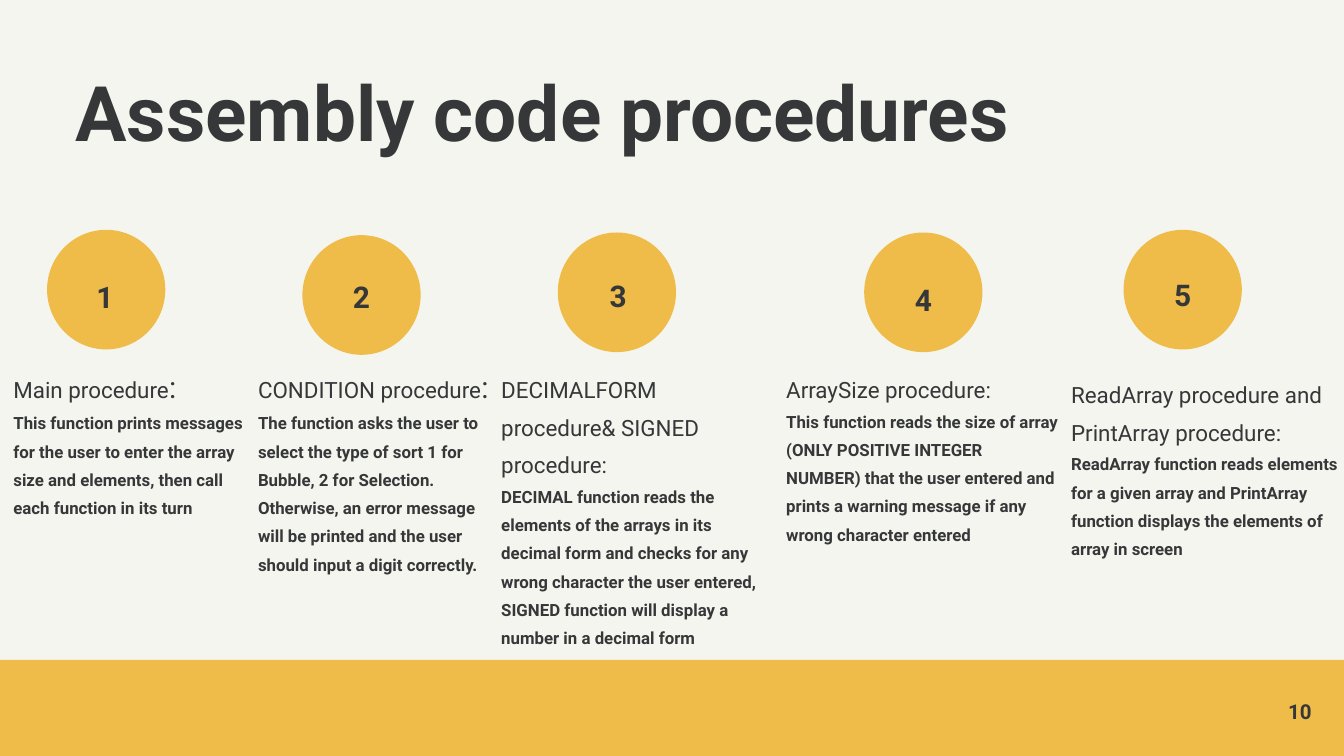
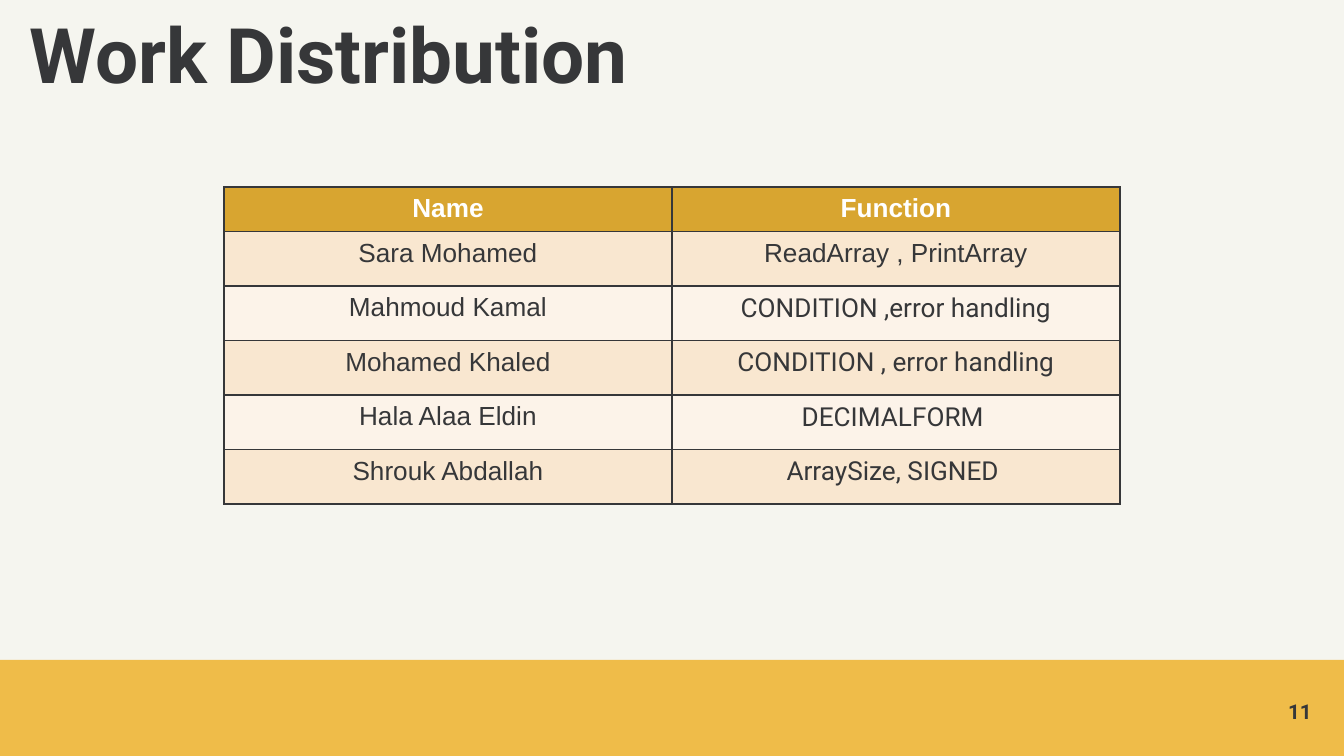
from lxml import etree
from pptx import Presentation
from pptx.dml.color import RGBColor
from pptx.enum import shapes, text
from pptx.oxml.ns import qn
from pptx.util import Inches, Pt

DARK, GOLD, PAPER, WHITE = "363739", "EFBC49", "F5F5EF", "FFFFFF"
HEADER, BAND_ODD, BAND_EVEN = "D8A530", "F9E7D0", "FCF3E9"
LEFT, CENTER, RIGHT = text.PP_ALIGN.LEFT, text.PP_ALIGN.CENTER, text.PP_ALIGN.RIGHT


def rgb(color):
    return RGBColor.from_string(color)


def add_text(s, box, lines, align=LEFT, spacing=1.0, anchor=text.MSO_ANCHOR.TOP):
    """Add a text box without insets; each line is a list of runs (text, size, bold)."""
    tf = s.shapes.add_textbox(*map(Inches, box)).text_frame
    tf.word_wrap = True
    tf.vertical_anchor = anchor
    tf.margin_left = tf.margin_right = tf.margin_top = tf.margin_bottom = 0
    for i, runs in enumerate(lines):
        p = tf.paragraphs[0] if i == 0 else tf.add_paragraph()
        p.alignment, p.line_spacing = align, spacing
        for words, size, bold in runs:
            r = p.add_run()
            r.text = words
            r.font.name, r.font.color.rgb = "Roboto", rgb(DARK)
            r.font.size, r.font.bold = Pt(size), bold


prs = Presentation()
prs.slide_width = Inches(10)
prs.slide_height = prs.slide_width * 9 // 16

# Shared frame: background, title, footer band, page number
pages = [("Assembly code procedures", 0.56, 0.56, "10"),
         ("Work Distribution", 0.22, 0.13, "11")]
for title, x, y, number in pages:
    s = prs.slides.add_slide(prs.slide_layouts[6])
    s.background.fill.solid()
    s.background.fill.fore_color.rgb = rgb(PAPER)
    add_text(s, (x, y, 7.09, 0.79), [[(title, 41, True)]], spacing=0.9)
    top = Inches(4.91)
    band = s.shapes.add_shape(shapes.MSO_SHAPE.RECTANGLE, 0, top,
                              prs.slide_width, prs.slide_height - top)
    band.shadow.inherit = False
    band.fill.solid()
    band.fill.fore_color.rgb = rgb(GOLD)
    band.line.fill.background()
    add_text(s, (9.16, 5.19, 0.6, 0.2), [[(number, 11, True)]], RIGHT,
             anchor=text.MSO_ANCHOR.MIDDLE)

procedures_slide, work_slide = prs.slides

# Procedures: circle (x, y), number (x, y), text (x, y, width), heading, large colon, body
procedures = [
    ((0.35, 1.71), (0.57, 2.01), (0.1, 2.64, 1.77), "Main procedure", ":",
     "This function prints messages for the user to enter the array size and elements, "
     "then call each function in its turn"),
    ((2.25, 1.75), (2.48, 2.01), (1.92, 2.64, 1.77), "CONDITION procedure", ":",
     "The function asks the user to select the type of sort 1 for Bubble, 2 for Selection. "
     "Otherwise, an error message will be printed and the user should input a digit correctly."),
    ((4.15, 1.73), (4.39, 2.0), (3.73, 2.72, 2.03),
     "DECIMALFORM procedure& SIGNED procedure:", "",
     "DECIMAL function reads the elements of the arrays in its decimal form and checks for any "
     "wrong character the user entered, SIGNED function will display a number in a decimal form"),
    ((6.43, 1.73), (6.66, 2.03), (5.85, 2.72, 2.03), "ArraySize procedure:", "",
     "This function reads the size of array (ONLY POSITIVE INTEGER NUMBER) that the user "
     "entered and prints a warning message if any wrong character entered"),
    ((8.36, 1.71), (8.59, 1.99), (7.97, 2.76, 2.03),
     "ReadArray procedure and PrintArray procedure:", "",
     "ReadArray function reads elements for a given array and PrintArray function displays "
     "the elements of array in screen"),
]
s = procedures_slide
for n, (circle, label, column, heading, colon, body) in enumerate(procedures, 1):
    sp = s.shapes.add_shape(shapes.MSO_SHAPE.OVAL, *map(Inches, (*circle, 0.88, 0.89)))
    sp.shadow.inherit = False
    sp.fill.solid()
    sp.fill.fore_color.rgb = rgb(GOLD)
    sp.line.fill.background()
    add_text(s, (*label, 0.42, 0.34), [[(str(n), 16, True)]], CENTER, 1.25)
    head = [(heading, 12, False)]
    if colon:
        head.append((colon, 16, False))
    add_text(s, (*column, 1.53), [head, [(body, 9, True)]], spacing=1.4)

# Work distribution table, two thirds of the slide wide and centred
rows = [
    ("Name", "Function"),
    ("Sara Mohamed", "ReadArray , PrintArray"),
    ("Mahmoud Kamal", "CONDITION ,error handling"),
    ("Mohamed Khaled", "CONDITION , error handling"),
    ("Hala Alaa Eldin", "DECIMALFORM "),
    ("Shrouk Abdallah", "ArraySize, SIGNED "),
]
table = work_slide.shapes.add_table(len(rows), 2, prs.slide_width // 6, Inches(1.39),
                                    prs.slide_width * 2 // 3, Inches(2.36)).table
for i, row in enumerate(rows):
    table.rows[i].height = Pt(29.2) if i else 0  # the header grows to fit its text
    for j, words in enumerate(row):
        cell = table.cell(i, j)
        p = cell.text_frame.paragraphs[0]
        p.text = words
        p.alignment = CENTER
        p.font.name = "Roboto" if j == 1 and i > 1 else "Arial"
        p.font.size, p.font.bold = Pt(14), i == 0
        p.font.color.rgb = rgb(DARK if i else WHITE)
        tcPr = cell._tc.get_or_add_tcPr()
        for side in ("a:lnL", "a:lnR", "a:lnT", "a:lnB"):
            ln = etree.SubElement(tcPr, qn(side), w=str(Pt(1)))
            fill = etree.SubElement(ln, qn("a:solidFill"))
            etree.SubElement(fill, qn("a:srgbClr"), val=DARK)
        cell.fill.solid()
        cell.fill.fore_color.rgb = rgb(HEADER if i == 0 else BAND_ODD if i % 2 else BAND_EVEN)

prs.save("out.pptx")
